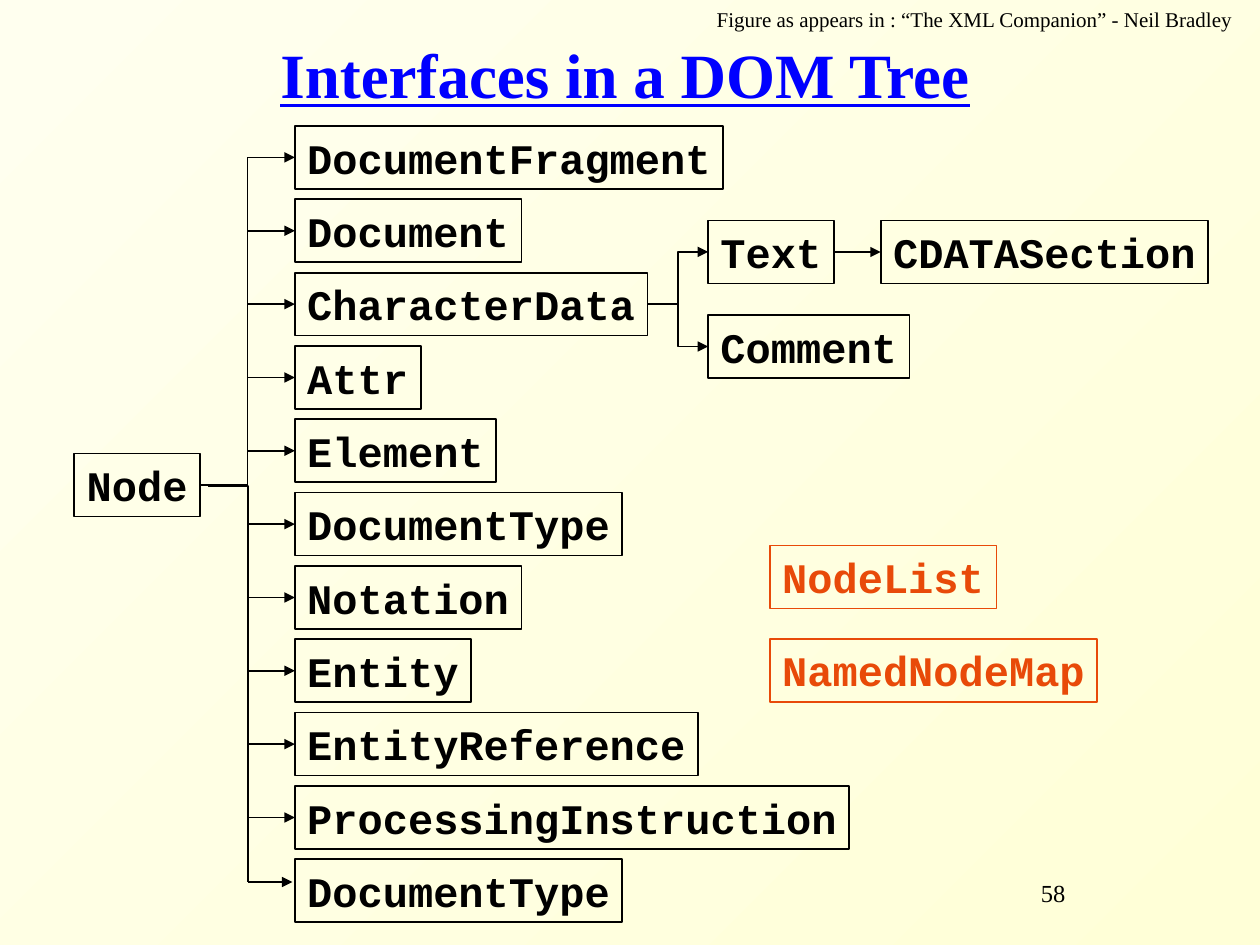
import pptx
import pptx.dml.color
import pptx.enum.shapes
import pptx.enum.text
import pptx.oxml.ns
import pptx.util
from lxml import etree

Inches = pptx.util.Inches
Pt = pptx.util.Pt
RGBColor = pptx.dml.color.RGBColor
CONNECTOR = pptx.enum.shapes.MSO_CONNECTOR
qn = pptx.oxml.ns.qn

BLACK = RGBColor(0x00, 0x00, 0x00)
BLUE = RGBColor(0x00, 0x00, 0xFF)
ORANGE = RGBColor(0xE8, 0x4A, 0x09)
CREAM = RGBColor(0xFF, 0xFF, 0xD7)
IVORY = RGBColor(0xFF, 0xFF, 0xEF)

SERIF = "Times New Roman"
MONO = "Courier New"
CHAR_WIDTH = 0.2
BOX_HEIGHT = 0.5
LEFT_SITE, RIGHT_SITE = 1, 3


class TreeSlide:
    def __init__(self, deck):
        self.slide = deck.slides.add_slide(deck.slide_layouts[5])
        self.shapes = self.slide.shapes

    def background(self, start, end, angle):
        fill = self.slide.background.fill
        fill.gradient()
        fill.gradient_angle = angle
        for stop, color in zip(fill.gradient_stops, (start, end)):
            stop.color.rgb = color

    def style_text(self, shape, text, font, size, color, bold=False):
        shape.text_frame.text = text
        paragraph = shape.text_frame.paragraphs[0]
        run_font = paragraph.runs[0].font
        run_font.name, run_font.size, run_font.bold = font, Pt(size), bold
        run_font.color.rgb = color
        return paragraph

    def title(self, text, left, top, width, height):
        heading = self.shapes.title
        heading.left, heading.top = Inches(left), Inches(top)
        heading.width, heading.height = Inches(width), Inches(height)
        paragraph = self.style_text(heading, text, SERIF, 36, BLUE, bold=True)
        paragraph.alignment = pptx.enum.text.PP_ALIGN.CENTER
        paragraph.line_spacing = 0.85
        paragraph.runs[0].font.underline = True
        heading.text_frame.vertical_anchor = pptx.enum.text.MSO_ANCHOR.MIDDLE

    def label(self, text, left, top, width, height, size, wrap=True, indent=0.1):
        label = self.shapes.add_textbox(
            Inches(left), Inches(top), Inches(width), Inches(height))
        self.style_text(label, text, SERIF, size, BLACK)
        label.text_frame.word_wrap = wrap
        label.text_frame.margin_left = Inches(indent)

    def interface(self, name, left, top, color=BLACK):
        """A box as wide as its monospaced name."""
        box = self.shapes.add_shape(
            pptx.enum.shapes.MSO_SHAPE.RECTANGLE, Inches(left), Inches(top),
            Inches(CHAR_WIDTH * (len(name) + 1)), Inches(BOX_HEIGHT))
        box.shadow.inherit = False
        box.fill.background()
        box.line.color.rgb = color
        box.line.width = Pt(1)
        paragraph = self.style_text(box, name, MONO, 24, color, bold=True)
        paragraph.alignment = pptx.enum.text.PP_ALIGN.LEFT
        box.text_frame.vertical_anchor = pptx.enum.text.MSO_ANCHOR.TOP
        box.text_frame.word_wrap = False
        box.text_frame.auto_size = pptx.enum.text.MSO_AUTO_SIZE.SHAPE_TO_FIT_TEXT
        return box

    def line(self, kind, start=(0, 0), end=(0, 0), arrow=True):
        line = self.shapes.add_connector(
            kind, *(Inches(value) for value in (*start, *end)))
        line.line.color.rgb = BLACK
        line.line.width = Pt(1)
        if arrow:
            etree.SubElement(line._element.spPr.find(qn("a:ln")),
                             qn("a:tailEnd"), type="triangle")
        etree.SubElement(line._element.spPr, qn("a:effectLst"))
        return line

    def inherit(self, parent, child, kind=CONNECTOR.ELBOW):
        """An arrow from the parent's right side to the child's left side."""
        arrow = self.line(kind)
        arrow.begin_connect(parent, RIGHT_SITE)
        arrow.end_connect(child, LEFT_SITE)


def main():
    deck = pptx.Presentation()
    deck.slide_width, deck.slide_height = Inches(10), Inches(7.5)
    tree = TreeSlide(deck)
    tree.background(CREAM, IVORY, 135)
    tree.title("Interfaces in a DOM Tree", 1, 0.17, 7.92, 0.92)

    # Interfaces derived from Node, evenly spaced
    child_names = ["DocumentFragment", "Document", "CharacterData", "Attr",
                   "Element", "DocumentType", "Notation", "Entity",
                   "EntityReference", "ProcessingInstruction", "DocumentType"]
    first_top, last_top = 1, 6.82
    pitch = (last_top - first_top) / (len(child_names) - 1)
    node = tree.interface("Node", 0.59, 3.6)
    children = [tree.interface(name, 2.34, first_top + row * pitch)
                for row, name in enumerate(child_names)]
    for child in children[:-1]:
        tree.inherit(node, child)

    # The last branch is an open corner followed by an arrow
    trunk_x, node_y, last_y = 1.97, 3.86, 7
    corner = tree.line(CONNECTOR.ELBOW, (1.65, node_y), (trunk_x, last_y), arrow=False)
    corner._element.spPr.find(qn("a:prstGeom")).set("prst", "bentConnector2")
    tree.line(CONNECTOR.STRAIGHT, (trunk_x, last_y), (2.32, last_y))

    # Interfaces derived from CharacterData
    character_data = children[child_names.index("CharacterData")]
    text = tree.interface("Text", 5.62, 1.75)
    comment = tree.interface("Comment", 5.62, 2.5)
    cdata_section = tree.interface("CDATASection", 6.99, 1.75)
    tree.inherit(character_data, text)
    tree.inherit(character_data, comment)
    tree.inherit(text, cdata_section, CONNECTOR.STRAIGHT)

    # Stand-alone collections
    tree.interface("NodeList", 6.11, 4.33, ORANGE)
    tree.interface("NamedNodeMap", 6.11, 5.07, ORANGE)

    # Credit and slide number
    tree.label("Figure as appears in : “The XML Companion” - Neil Bradley",
               5.59, 0, 4.3, 0.3, size=12, wrap=False)
    tree.label("58", 7.92, 6.92, 2.08, 0.5, size=14, indent=0.34)

    deck.save("out.pptx")


if __name__ == "__main__":
    main()
